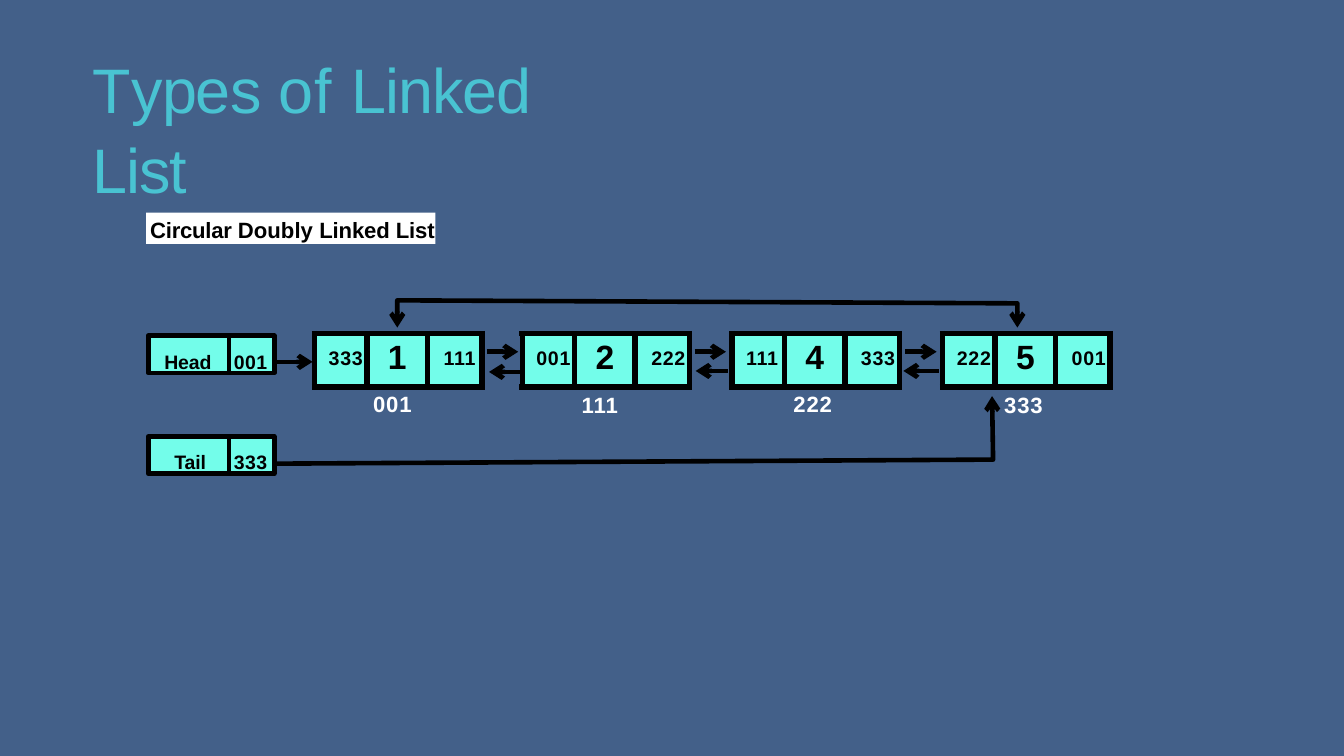
from pptx import Presentation
from pptx.dml.color import RGBColor
from pptx.enum.shapes import MSO_CONNECTOR as CONN, MSO_SHAPE as SHAPE
from pptx.enum.text import MSO_ANCHOR as ANCHOR, MSO_AUTO_SIZE as AUTO, PP_ALIGN as ALIGN
from pptx.oxml.ns import qn
from pptx.util import Pt
from lxml import etree

PX = 9144  # 100 px to the inch
FONT = "Arial"
COLORS = {"back": "436089", "title": "49C3D2", "cell": "73FDEA",
          "ink": "000000", "light": "FFFFFF"}
LINE_W = 3.3
COLS, ROW_H = (52, 60, 54), 53
NODE_TOP = 331

# left, previous, value, next, address, label left, label top
NODES = [(312, "333", "1", "111", "001", 369, 386),
         (518, "001", "2", "222", "111", 576, 387),
         (726, "111", "4", "333", "222", 786, 386),
         (935, "222", "5", "001", "333", 995, 387)]
# forward start and tip, backward start and tip, backward top
LINKS = [(483, 514, 516, 485, 369),
         (689, 720, 722, 690, 368),
         (898, 929, 931, 896, 368)]


def px(*values):
    return [v * PX for v in values]


def rgb(name):
    return RGBColor.from_string(COLORS[name])


def style_run(r, size, color, bold=True, spacing=0):
    r.font.name = FONT
    r.font.size = Pt(size)
    r.font.bold = bold
    r.font.color.rgb = rgb(color)
    r._r.get_or_add_rPr().set("spc", str(round(spacing * 100)))


def add_runs(p, runs, size, color, bold=True):
    for text, spacing in runs:
        r = p.add_run()
        r.text = text
        style_run(r, size, color, bold, spacing)


def set_frame(tf, left, top):
    tf.margin_left, tf.margin_top, tf.margin_right, tf.margin_bottom = px(left, top, 0, 0)
    tf.word_wrap = True
    tf.vertical_anchor = ANCHOR.TOP


def style_line(sp, ends=()):
    sp.line.color.rgb = rgb("ink")
    sp.line.width = Pt(LINE_W)
    ln = sp.line._get_or_add_ln()
    for end in ends:
        etree.SubElement(ln, qn("a:" + end), type="arrow", w="med", len="med")


def add_title(slide, x, y, w, h):
    sp = slide.shapes.title
    sp.left, sp.top, sp.width, sp.height = px(x, y, w, h)
    tf = sp.text_frame
    set_frame(tf, 1, 1)
    tf.auto_size = AUTO.SHAPE_TO_FIT_TEXT
    p = tf.paragraphs[0]
    p.alignment = ALIGN.LEFT
    p.line_spacing = 1.05
    add_runs(p, [("T", -6.8), ("y", -1.6), ("pe", -1.5), ("s ", -0.6), ("of ", 0.8),
                 ("Linked ", -0.7), ("List", -0.9)], 44.9, "title", False)


def add_box(slide, box, runs, size, inset, fill, outline=False):
    sp = slide.shapes.add_shape(SHAPE.RECTANGLE, *px(*box))
    sp.shadow.inherit = False
    sp.fill.solid()
    sp.fill.fore_color.rgb = rgb(fill)
    if outline:
        style_line(sp)
    else:
        sp.line.fill.background()
    set_frame(sp.text_frame, *inset)
    p = sp.text_frame.paragraphs[0]
    p.alignment = ALIGN.LEFT
    add_runs(p, runs, size, "ink")


def add_pointer(slide, x, y, name, address, indent):
    add_box(slide, (x, y, 81, 37), [(name, -0.1)], 13.9, (indent, 14), "cell", True)
    add_box(slide, (x + 80, y, 45, 37), [(address, 0.3)], 13.9, (5, 14), "cell", True)


def set_borders(cell):
    tcPr = cell._tc.get_or_add_tcPr()
    for i, side in enumerate(("lnL", "lnR", "lnT", "lnB")):
        ln = etree.Element(qn("a:" + side), w=str(Pt(4.5)))
        fill = etree.SubElement(ln, qn("a:solidFill"))
        etree.SubElement(fill, qn("a:srgbClr"), val=COLORS["ink"])
        tcPr.insert(i, ln)


def add_node(slide, x, y, values):
    table = slide.shapes.add_table(1, len(COLS), *px(x, y, sum(COLS), ROW_H)).table
    table.first_row = table.horz_banding = False
    table.rows[0].height = ROW_H * PX
    # left inset, top inset, size, spacing, alignment
    formats = [(14, 14, 14, 0.5, ALIGN.LEFT),
               (0, 5, 24, 0, ALIGN.CENTER),
               (16, 14, 14, 0.5, ALIGN.LEFT)]
    for i, (text, (left, top, size, spacing, align)) in enumerate(zip(values, formats)):
        table.columns[i].width = COLS[i] * PX
        cell = table.cell(0, i)
        cell.fill.solid()
        cell.fill.fore_color.rgb = rgb("cell")
        cell.margin_left, cell.margin_top, cell.margin_right, cell.margin_bottom = px(left, top, 0, 0)
        p = cell.text_frame.paragraphs[0]
        p.alignment = align
        add_runs(p, [(text, spacing)], size, "ink")
        set_borders(cell)


def add_address(slide, x, y, text):
    tf = slide.shapes.add_textbox(*px(x, y, 41, 28)).text_frame
    set_frame(tf, 1, 1)
    add_runs(tf.paragraphs[0], [(text, 0.6)], 15.8, "light")


def add_arrow(slide, x1, x2, y):
    c = slide.shapes.add_connector(CONN.STRAIGHT, *px(x1, y, x2, y))
    style_line(c, ["tailEnd"])
    etree.SubElement(c._element.spPr, qn("a:effectLst"))


def add_route(slide, points, ends):
    start, *rest = [px(*point) for point in points]
    builder = slide.shapes.build_freeform(*start, scale=1.0)
    builder.add_line_segments(rest, close=False)
    sp = builder.convert_to_shape()
    sp.shadow.inherit = False
    sp.fill.background()
    style_line(sp, ends)


def add_list_diagram(slide):
    # Nodes and their addresses
    for x, before, value, after, address, label_x, label_y in NODES:
        add_node(slide, x, NODE_TOP, (before, value, after))
        add_address(slide, label_x, label_y, address)
    # Head and tail pointers
    add_pointer(slide, 147, 333, "Head", "001", 16)
    add_pointer(slide, 147, 433, "Tail", "333", 26)
    # Links between neighbours
    add_arrow(slide, 275, 310, 359)
    for start, tip, back_start, back_tip, back_y in LINKS:
        add_arrow(slide, start, tip, 349)
        add_arrow(slide, back_start, back_tip, back_y)
    # Tail route and circular link
    add_route(slide, [(275, 460), (985, 456), (984, 393)], ["tailEnd"])
    add_route(slide, [(1009, 325), (1009, 301), (394, 298), (394, 325)], ["headEnd", "tailEnd"])


def main():
    prs = Presentation()
    prs.slide_width, prs.slide_height = px(1333, 750)
    slide = prs.slides.add_slide(prs.slide_layouts[5])
    slide.background.fill.solid()
    slide.background.fill.fore_color.rgb = rgb("back")
    add_title(slide, 91, 46, 522, 77)
    add_box(slide, (145, 211, 287, 31),
            [("Circular ", -0.2), ("Doubly ", 0), ("Linked List", -0.1)], 15.8, (4, 4), "light")
    add_list_diagram(slide)
    prs.save("out.pptx")


if __name__ == "__main__":
    main()
